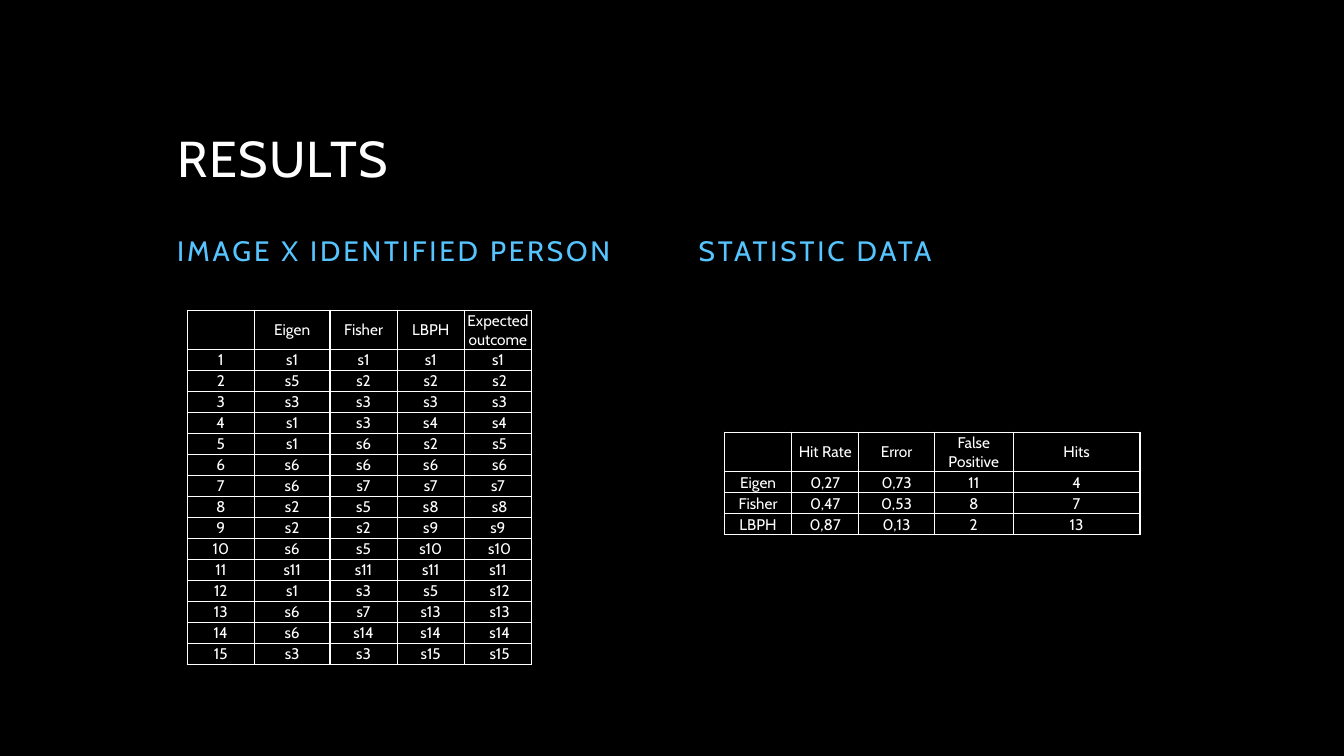
import pptx
import pptx.dml.color
import pptx.enum.text
import pptx.oxml
import pptx.oxml.ns
import pptx.util

Pt = pptx.util.Pt
RGB = pptx.dml.color.RGBColor.from_string
PP_ALIGN = pptx.enum.text.PP_ALIGN
ANCHOR = pptx.enum.text.MSO_ANCHOR


class Theme:
    font = "Cabin"
    back, text, accent = "000000", "FFFFFF", "56C5FF"
    title, heading, cell = 36, 20, 11


def style(p, size, color, align, spacing=0):
    p.alignment = align
    p.font.name = Theme.font
    p.font.size = Pt(size)
    p.font.bold = False
    p.font.color.rgb = RGB(color)
    if spacing:
        p.line_spacing = 0.9
        p._p.pPr.find(pptx.oxml.ns.qn("a:defRPr")).set("spc", str(spacing * 100))


def add_grid(s, left, top, widths, rows):
    heights = [28] + [15] * (len(rows) - 1)
    frame = s.shapes.add_table(len(rows), len(widths), Pt(left), Pt(top),
                               Pt(sum(widths)), Pt(sum(heights)))
    tbl = frame.table
    tbl.first_row = tbl.horz_banding = False
    for col, width in zip(tbl.columns, widths):
        col.width = Pt(width)
    for row, height, values in zip(tbl.rows, heights, rows):
        row.height = Pt(height)
        for cell, value in zip(row.cells, values):
            cell.margin_left = cell.margin_right = cell.margin_top = Pt(0.7)
            cell.margin_bottom = 0
            cell.vertical_anchor = ANCHOR.MIDDLE
            cell.text = value
            style(cell.text_frame.paragraphs[0], Theme.cell, Theme.text, PP_ALIGN.CENTER)
            # Borders come before the fill in the cell properties
            tcPr = cell._tc.get_or_add_tcPr()
            for side in ("lnL", "lnR", "lnT", "lnB"):
                tcPr.append(pptx.oxml.parse_xml(
                    f'<a:{side} {pptx.oxml.ns.nsdecls("a")} w="12700"><a:solidFill>'
                    f'<a:srgbClr val="{Theme.text}"/></a:solidFill></a:{side}>'))
            cell.fill.background()


prs = pptx.Presentation()
prs.slide_width, prs.slide_height = Pt(960), Pt(540)
s = prs.slides.add_slide(prs.slide_layouts[5])
s.background.fill.solid()
s.background.fill.fore_color.rgb = RGB(Theme.back)

# Title
title = s.shapes.title
title.left, title.top, title.width, title.height = Pt(119.5), Pt(30), Pt(720), Pt(108)
tf = title.text_frame
tf.text = "RESULTS"
tf.vertical_anchor = ANCHOR.BOTTOM
style(tf.paragraphs[0], Theme.title, Theme.text, PP_ALIGN.LEFT, 1)

# Column headings
for left, text in ((119.5, "IMAGE X IDENTIFIED PERSON"), (492, "STATISTIC DATA")):
    sp = s.shapes.add_textbox(Pt(left), Pt(150), Pt(348), Pt(60))
    tf = sp.text_frame
    tf.word_wrap = True
    tf.vertical_anchor = ANCHOR.MIDDLE
    tf.text = text
    style(tf.paragraphs[0], Theme.heading, Theme.accent, PP_ALIGN.LEFT, 2)

# Person identified in each image, by method
people = [
    ("", "Eigen", "Fisher", "LBPH", "Expected outcome"),
    ("1", "s1", "s1", "s1", "s1"),
    ("2", "s5", "s2", "s2", " s2"),
    ("3", "s3", "s3", "s3", " s3"),
    ("4", "s1", "s3", "s4", " s4"),
    ("5", "s1", "s6", "s2", " s5"),
    ("6", "s6", "s6", "s6", " s6"),
    ("7", "s6", "s7", "s7", "s7"),
    ("8", "s2", "s5", "s8", " s8"),
    ("9", "s2", "s2", "s9", "s9"),
    ("10", "s6", "s5", "s10", " s10"),
    ("11", "s11", "s11", "s11", "s11"),
    ("12", "s1", "s3", "s5", " s12"),
    ("13", "s6", "s7", "s13", " s13"),
    ("14", "s6", "s14", "s14", " s14"),
    ("15", "s3", "s3", "s15", " s15"),
]
add_grid(s, 133.7, 221.6, (48, 54, 48, 48, 48), people)

# Statistics by method
statistics = [
    ("", "Hit Rate", "Error", "False Positive", "Hits"),
    ("Eigen", "0,27", "0,73", "11", "4"),
    ("Fisher", "0,47", "0,53", "8", "7"),
    ("LBPH", "0,87", "0,13", "2", "13"),
]
add_grid(s, 517.5, 308.8, (48, 48, 54, 56.2, 90.7), statistics)

prs.save("out.pptx")
